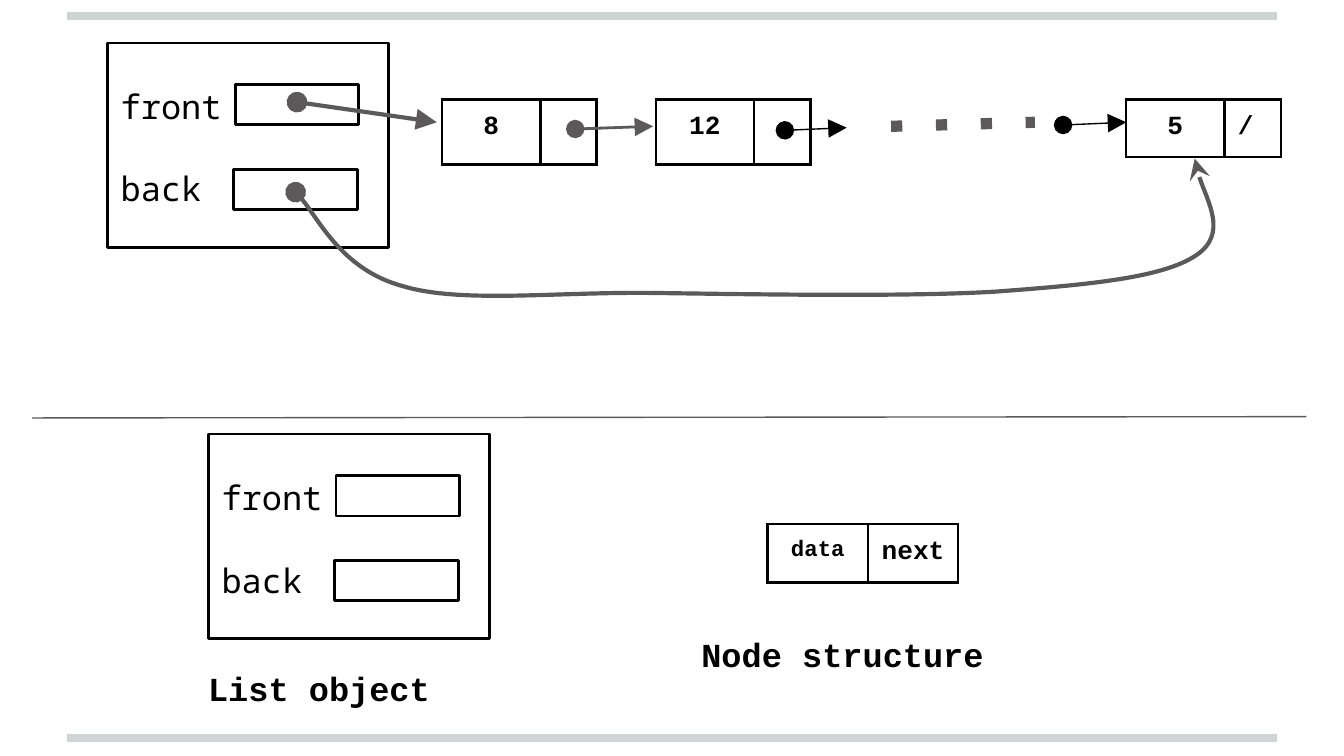
import dataclasses

import lxml.etree
import pptx
import pptx.dml.color
import pptx.enum.shapes
import pptx.enum.text
import pptx.oxml
import pptx.oxml.ns
import pptx.util

Inches = pptx.util.Inches
Pt = pptx.util.Pt
qn = pptx.oxml.ns.qn
RECT = pptx.enum.shapes.MSO_SHAPE.RECTANGLE
ALIGN = pptx.enum.text.PP_ALIGN


@dataclasses.dataclass(frozen=True)
class Theme:
    black: str = "000000"
    gray: str = "5B595A"
    rule: str = "CFD4D4"
    mono: str = "Courier New"
    label: str = "Noto Sans Mono"
    big: int = 18
    mid: int = 14
    small: int = 12
    edge: float = 1.5
    thick: float = 2.25
    thin: float = 0.75
    pad: float = 0.1


THEME = Theme()


def color(code):
    return pptx.dml.color.RGBColor.from_string(code)


def style(para, size, font=THEME.mono, bold=True):
    for run in para.runs:
        run.font.size = Pt(size)
        run.font.name = font
        run.font.bold = bold
        run.font.color.rgb = color(THEME.black)


def inset(frame, top=THEME.pad):
    frame.margin_left = frame.margin_right = frame.margin_bottom = Inches(THEME.pad)
    frame.margin_top = Inches(top)


def stroke(item, code, width, dash=None, tail=None):
    """Style a line; a tail shape also puts a round dot at its start."""
    item.line.color.rgb = color(code)
    item.line.width = Pt(width)
    ln = item.line._get_or_add_ln()
    if dash:
        lxml.etree.SubElement(ln, qn("a:prstDash"), val=dash)
    if tail:
        for tag, kind in (("a:headEnd", "oval"), ("a:tailEnd", tail)):
            lxml.etree.SubElement(ln, qn(tag), type=kind, w="lg", len="lg")


def link(slide, x1, y1, x2, y2, code, width, dash=None, tail=None):
    line = slide.shapes.add_connector(
        pptx.enum.shapes.MSO_CONNECTOR.STRAIGHT,
        Inches(x1), Inches(y1), Inches(x2), Inches(y2))
    stroke(line, code, width, dash, tail)
    lxml.etree.SubElement(line._element.spPr, qn("a:effectLst"))


def frame(slide, x, y, wide, high):
    """Draw an unfilled black rectangle."""
    box = slide.shapes.add_shape(RECT, Inches(x), Inches(y), Inches(wide), Inches(high))
    box.shadow.inherit = False
    box.fill.background()
    stroke(box, THEME.black, THEME.edge)
    return box


def record(slide, x, y):
    """Draw a list object with its front and back fields."""
    text = frame(slide, x, y, 2.09, 1.52).text_frame
    inset(text, top=0.32)
    text.word_wrap = True
    text.vertical_anchor = pptx.enum.text.MSO_ANCHOR.TOP
    text.text = "front\nback"
    for para in text.paragraphs:
        para.alignment = ALIGN.LEFT
        style(para, THEME.big, THEME.label, False)
    text.paragraphs[1].space_before = Pt(22.5)
    frame(slide, x + 0.95, y + 0.31, 0.92, 0.3)
    frame(slide, x + 0.94, y + 0.94, 0.92, 0.3)


def border(cell):
    props = cell._tc.get_or_add_tcPr()
    for spot, side in enumerate(("lnL", "lnR", "lnT", "lnB")):
        ln = pptx.oxml.parse_xml(
            f'<a:{side} xmlns:a="http://schemas.openxmlformats.org/drawingml/2006/main"'
            f' w="{Pt(THEME.edge)}"><a:solidFill><a:srgbClr val="{THEME.black}"/>'
            f'</a:solidFill></a:{side}>')
        props.insert(spot, ln)


def node(slide, x, y, data, after="", wides=(0.73, 0.42), size=THEME.mid):
    """Draw a node as a two-cell table: centred data, then its link."""
    table = slide.shapes.add_table(
        1, 2, Inches(x), Inches(y), Inches(sum(wides)), Inches(0.43)).table
    table.first_row = table.horz_banding = False
    for col, wide in zip(table.columns, wides):
        col.width = Inches(wide)
    for cell, words, points, align in zip(
            table.rows[0].cells, (data, after), (size, THEME.mid),
            (ALIGN.CENTER, ALIGN.LEFT)):
        inset(cell)
        cell.fill.background()
        border(cell)
        para = cell.text_frame.paragraphs[0]
        if words:
            para.text = words
            para.alignment = align
            style(para, points)
        else:
            # An empty cell still sets the row height by its font.
            end = lxml.etree.SubElement(
                para._p, qn("a:endParaRPr"), sz=str(THEME.big * 100))
            lxml.etree.SubElement(end, qn("a:latin"), typeface=THEME.mono)


def title(slide, x, y, words):
    text = slide.shapes.add_textbox(
        Inches(x), Inches(y), Inches(2.76), Inches(0.36)).text_frame
    inset(text)
    text.word_wrap = True
    text.text = words
    style(text.paragraphs[0], THEME.big)


def curve(slide, x, y, points, wide, high):
    """Draw a Bezier arrow; after the first, each three points make one bend."""
    spots = [(Inches(x + px), Inches(y + py)) for px, py in points]
    form = slide.shapes.build_freeform(*spots[0])
    form.add_line_segments(spots[1:], close=False)
    shape = form.convert_to_shape()
    trail = shape._element.find(".//" + qn("a:path"))
    lines = trail.findall(qn("a:lnTo"))
    for first in range(0, len(lines), 3):
        bend = lxml.etree.SubElement(trail, qn("a:cubicBezTo"))
        for line in lines[first:first + 3]:
            bend.append(line[0])
            trail.remove(line)
    # Fit the box to the curve itself, not to its outer control points.
    shape.width, shape.height = Inches(wide), Inches(high)
    trail.set("w", str(Inches(wide)))
    trail.set("h", str(Inches(high)))
    shape.shadow.inherit = False
    shape.fill.background()
    stroke(shape, THEME.gray, THEME.thick, tail="stealth")


def chain(slide, x, y):
    """Draw the linked list: its object, nodes and pointers."""
    record(slide, x, y)
    for left, data, after in ((2.49, "8", ""), (4.08, "12", ""), (7.58, "5", "/")):
        node(slide, x + left, y + 0.42, data, after)
    for x1, y1, x2, y2, code, width in (
            (1.41, 0.44, 2.45, 0.59, THEME.gray, THEME.thick),
            (3.48, 0.64, 4.06, 0.62, THEME.gray, THEME.edge),
            (5.04, 0.65, 5.5, 0.63, THEME.black, THEME.thin),
            (7.11, 0.61, 7.58, 0.59, THEME.black, THEME.thin)):
        link(slide, x + x1, y + y1, x + x2, y + y2, code, width, tail="triangle")
    link(slide, x + 5.83, y + 0.62, x + 6.9, y + 0.59, THEME.gray, 6, dash="dot")
    curve(slide, x + 1.4, y + 0.86, (
        (0, 0.25),
        (0.13, 0.37), (0.35, 0.83), (0.8, 0.95),
        (1.24, 1.08), (1.94, 0.99), (2.67, 1),
        (3.41, 1.01), (4.54, 1.03), (5.21, 0.99),
        (5.88, 0.94), (6.45, 0.89), (6.7, 0.72),
        (6.94, 0.56), (6.69, 0.12), (6.69, 0)), 6.8, 1.02)


def legend(slide, x, y):
    """Draw the blank list object and node with their titles."""
    record(slide, x + 0.1, y)
    title(slide, x, y + 1.64, "List object")
    node(slide, x + 4.26, y + 0.67, "data", "next", (0.75, 0.67), THEME.small)
    title(slide, x + 3.67, y + 1.39, "Node structure")


def main():
    deck = pptx.Presentation()
    deck.slide_width = Inches(10)
    deck.slide_height = deck.slide_width * 9 // 16
    slide = deck.slides.add_slide(deck.slide_layouts[6])
    for y in (0.12, 5.49):
        link(slide, 0.5, y, 9.5, y, THEME.rule, 4)
    chain(slide, 0.8, 0.32)
    legend(slide, 1.45, 3.23)
    link(slide, 0.24, 3.11, 9.72, 3.1, THEME.gray, THEME.thin)
    deck.save("out.pptx")


if __name__ == "__main__":
    main()
